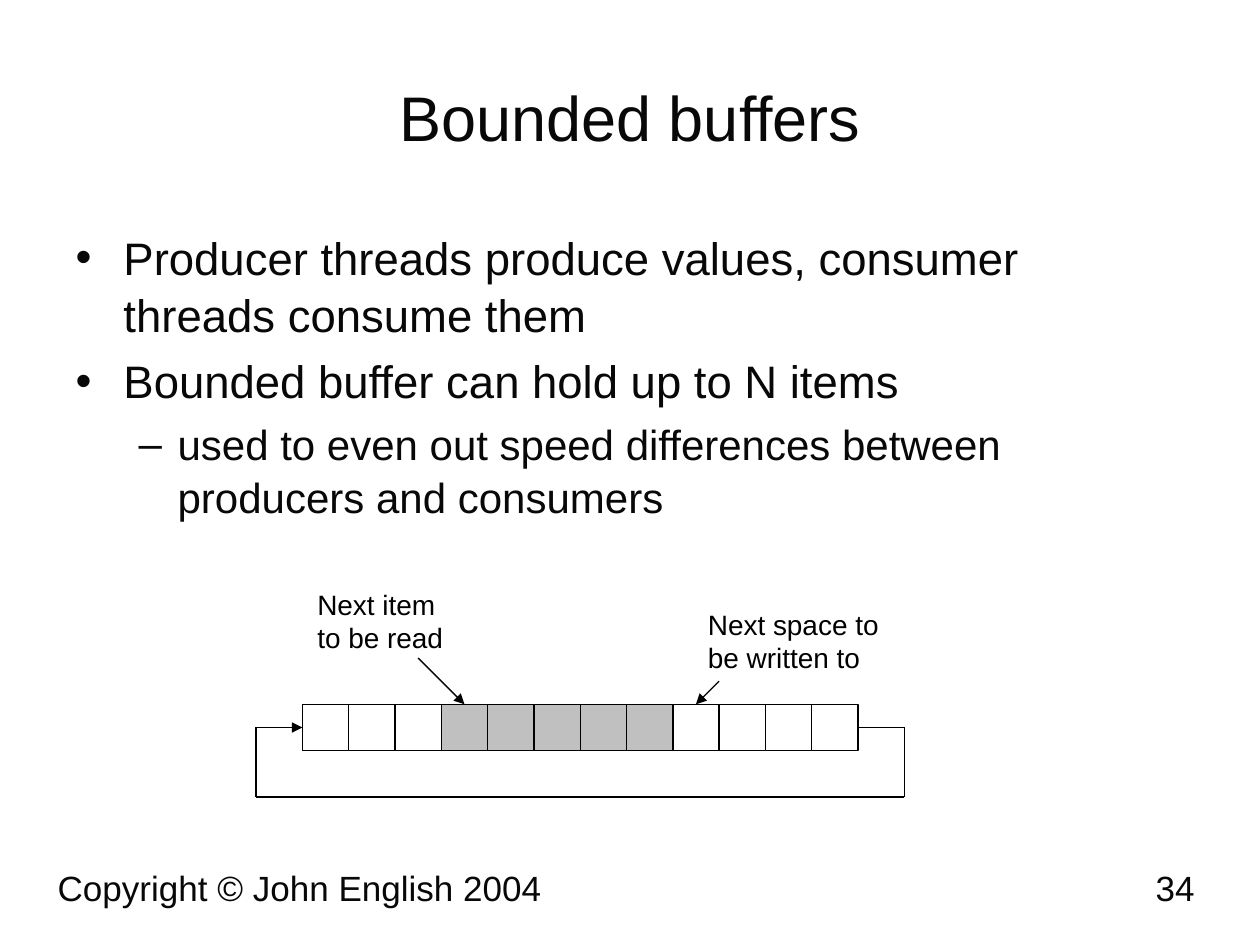
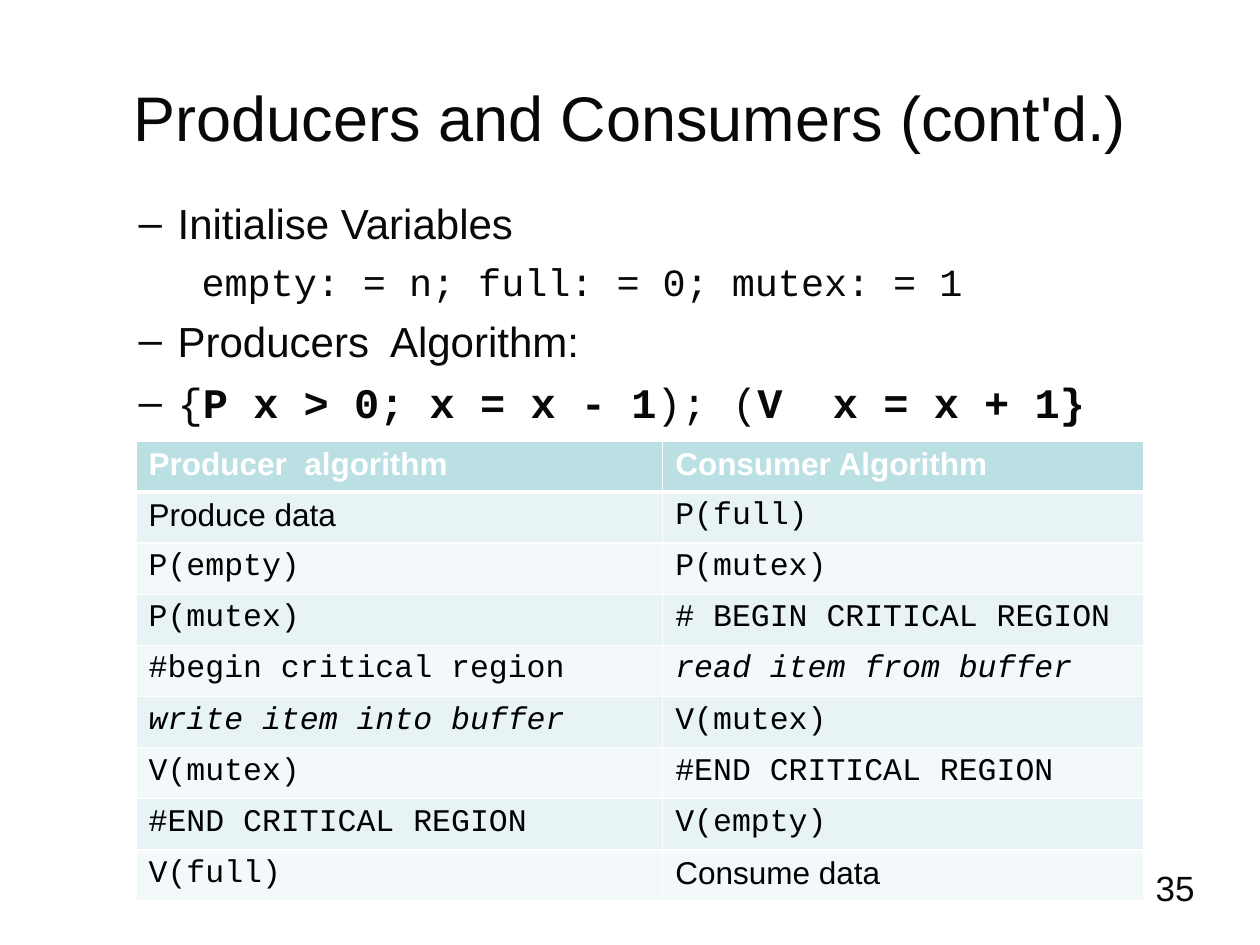
from dataclasses import dataclass
from itertools import pairwise

from lxml import etree
from pptx import Presentation
from pptx import util as u
from pptx.dml.color import RGBColor
from pptx.enum import shapes, text
from pptx.oxml import ns


@dataclass(frozen=True)
class Theme:
    sans: str = "Arial"
    mono: str = "Courier New"
    ink: str = "080808"
    black: str = "000000"
    white: str = "FFFFFF"
    used: str = "C0C0C0"
    header: str = "BBE0E3"
    bands: tuple = ("E7F3F4", "F3F9FA")
    title_size: int = 36
    list_sizes: tuple = (26, 24, 22)
    footer_size: int = 20
    label_size: int = 16
    table_size: int = 18
    line_width: float = 0.75


T = Theme()
# Bullet, left indent and first-line offset of each list level
LEVELS = (("•", 0.38, -0.38), ("–", 0.81, -0.31), (None, 1.25, -0.25))
COPYRIGHT = "Copyright © John English 2004"


def rgb(colour):
    return RGBColor.from_string(colour)


def write(p, words, *, size, font=T.sans, colour=T.ink, bold=False, italic=False):
    """Add one formatted run to a paragraph."""
    r = p.add_run()
    r.text = words
    r.font.name, r.font.size = font, u.Pt(size)
    r.font.bold, r.font.italic = bold, italic
    r.font.color.rgb = rgb(colour)


def add_xml(parent, tag, **attributes):
    return etree.SubElement(parent, ns.qn(tag), attributes)


class Deck:
    def __init__(self, theme):
        self.theme = theme
        self.prs = Presentation()
        self.prs.slide_width, self.prs.slide_height = u.Inches(10), u.Inches(7.5)
        self.s = self.canvas = None

    def add_slide(self, title, number, footer=None):
        t = self.theme
        self.s = self.prs.slides.add_slide(self.prs.slide_layouts[1])
        self.canvas = self.s.shapes
        tf = self.place(self.s.shapes.title, 0.5, 0.3, 9, 1.25)
        tf.vertical_anchor = text.MSO_ANCHOR.MIDDLE
        p = tf.paragraphs[0]
        p.alignment = text.PP_ALIGN.CENTER
        write(p, title, size=t.title_size)
        if footer:
            self.label(footer, 0.36, 6.83, 6.33, 0.52, size=t.footer_size)
        self.label(number, 7.25, 6.83, 2.33, 0.52, align=text.PP_ALIGN.RIGHT,
                   size=t.footer_size)

    def place(self, sp, x, y, w, h):
        sp.left, sp.top = u.Inches(x), u.Inches(y)
        sp.width, sp.height = u.Inches(w), u.Inches(h)
        tf = sp.text_frame
        tf.word_wrap = True
        tf.auto_size = text.MSO_AUTO_SIZE.NONE
        return tf

    def label(self, words, x, y, w, h, align=text.PP_ALIGN.LEFT, **fmt):
        box = self.canvas.add_textbox(0, 0, 0, 0)
        p = self.place(box, x, y, w, h).paragraphs[0]
        p.alignment = align
        write(p, words, **fmt)

    def bullets(self, y, h, items):
        """Fill the body with (level, [(words, format), ...]) items."""
        tf = self.place(self.s.placeholders[1], 0.5, y, 9, h)
        tf.vertical_anchor = text.MSO_ANCHOR.TOP
        for i, (level, runs) in enumerate(items):
            p = tf.add_paragraph() if i else tf.paragraphs[0]
            size = self.theme.list_sizes[level]
            p.level = level
            p.line_spacing = 1.05
            p.space_before = u.Pt(0.2 * size)
            bullet, left, first = LEVELS[level]
            pPr = p._p.get_or_add_pPr()
            pPr.set("marL", str(u.Inches(left)))
            pPr.set("indent", str(u.Inches(first)))
            if bullet:
                add_xml(pPr, "a:buFont", typeface=self.theme.sans)
                add_xml(pPr, "a:buChar", char=bullet)
            else:
                add_xml(pPr, "a:buNone")
            for words, fmt in runs:
                write(p, words, size=size, **fmt)

    def start_group(self):
        self.canvas = self.s.shapes.add_group_shape().shapes

    def box(self, x, y, w, h, fill):
        sp = self.canvas.add_shape(shapes.MSO_SHAPE.RECTANGLE, u.Inches(x),
                                   u.Inches(y), u.Inches(w), u.Inches(h))
        sp.shadow.inherit = False
        sp.fill.solid()
        sp.fill.fore_color.rgb = rgb(fill)
        self.stroke(sp)

    def stroke(self, sp):
        sp.line.color.rgb = rgb(self.theme.black)
        sp.line.width = u.Pt(self.theme.line_width)

    def arrow(self, *points):
        """Join the points with lines and end the last with an arrowhead."""
        for start, end in pairwise(points):
            c = self.canvas.add_connector(shapes.MSO_CONNECTOR.STRAIGHT,
                                          *map(u.Inches, start + end))
            self.stroke(c)
            add_xml(c._element.spPr, "a:effectLst")
        add_xml(c.line._get_or_add_ln(), "a:tailEnd", type="triangle")

    def table(self, x, y, widths, row_height, rows):
        """Draw rows of (words, format) cells; the first row is the header."""
        t = self.theme
        frame = self.s.shapes.add_table(
            len(rows), len(widths), u.Inches(x), u.Inches(y),
            u.Inches(sum(widths)), u.Inches(row_height * len(rows)))
        grid = frame.table
        for column, width in zip(grid.columns, widths):
            column.width = u.Inches(width)
        for i, row in enumerate(rows):
            grid.rows[i].height = u.Inches(row_height)
            for j, (words, fmt) in enumerate(row):
                cell = grid.cell(i, j)
                self.borders(cell, top=3 if i == 1 else 1, bottom=1 if i else 3)
                cell.fill.solid()
                cell.fill.fore_color.rgb = rgb(t.bands[(i - 1) % 2] if i else t.header)
                write(cell.text_frame.paragraphs[0], words, size=t.table_size, **fmt)

    def borders(self, cell, top, bottom):
        tcPr = cell._tc.get_or_add_tcPr()
        for side, width in (("L", 1), ("R", 1), ("T", top), ("B", bottom)):
            ln = add_xml(tcPr, f"a:ln{side}", w=str(u.Pt(width)))
            add_xml(add_xml(ln, "a:solidFill"), "a:srgbClr", val=self.theme.white)


def bounded_buffers(deck):
    deck.add_slide("Bounded buffers", "34", COPYRIGHT)
    deck.bullets(1.75, 4.95, [
        (0, [("Producer threads produce values, consumer threads consume them", {})]),
        (0, [("Bounded buffer can hold up to N items", {})]),
        (1, [("used to even out speed differences between producers and consumers", {})]),
    ])

    # Ring buffer: twelve cells, five of them in use
    deck.start_group()
    left, top, cells = 2.4, 5.59, 12
    side = 4.41 / cells
    first_used, first_free = 3, 8
    for i in range(cells):
        in_use = first_used <= i < first_free
        deck.box(left + i * side, top, side, side, T.used if in_use else T.white)

    # Read and write positions
    label = dict(size=T.label_size, colour=T.black)
    deck.label("Next item to be read", 2.42, 4.61, 1.29, 0.61, **label)
    deck.label("Next space to be written to", 5.52, 4.77, 1.68, 0.66, **label)
    read_x, write_x = (left + (i + 0.5) * side for i in (first_used, first_free))
    deck.arrow((write_x + side / 2, top - side / 2), (write_x, top))
    deck.arrow((read_x - side, top - side), (read_x, top))

    # Path from the last cell back to the first
    right, middle, below = left + cells * side, top + side / 2, top + 2 * side
    deck.arrow((right, middle), (right + side, middle), (right + side, below),
               (left - side, below), (left - side, middle), (left, middle))


def producers_and_consumers(deck):
    sans = dict(colour=T.black)
    mono = dict(font=T.mono, colour=T.black)
    slanted = dict(mono, italic=True)
    heading = dict(colour=T.white, bold=True)
    code = dict(font=T.mono)
    strong = dict(code, bold=True)

    deck.add_slide("Producers and Consumers (cont'd.)", "35")
    deck.bullets(1.5, 5.75, [
        (1, [("Initialise Variables", {})]),
        (2, [("empty: = n; full: = 0; mutex: = 1", code)]),
        (1, [("Producers  Algorithm:", {})]),
        (1, [("{", code), ("P x > 0; x = x - 1", strong), ("); (", code),
             ("V  x = x + 1}", strong)]),
    ])
    deck.table(1.08, 3.5, (4.18, 3.82), 3.65 / 9, [
        [("Producer  algorithm", heading), ("Consumer Algorithm", heading)],
        [("Produce data", sans), ("P(full)", mono)],
        [("P(empty)", mono), ("P(mutex)", mono)],
        [("P(mutex)", mono), ("# BEGIN CRITICAL REGION", mono)],
        [("#begin critical region", mono), ("read item from buffer", slanted)],
        [("write item into buffer", slanted), ("V(mutex)", mono)],
        [("V(mutex)", mono), ("#END CRITICAL REGION", mono)],
        [("#END CRITICAL REGION", mono), ("V(empty)", mono)],
        [("V(full)", mono), ("Consume data", sans)],
    ])


def main():
    deck = Deck(T)
    bounded_buffers(deck)
    producers_and_consumers(deck)
    deck.prs.save("out.pptx")


if __name__ == "__main__":
    main()
